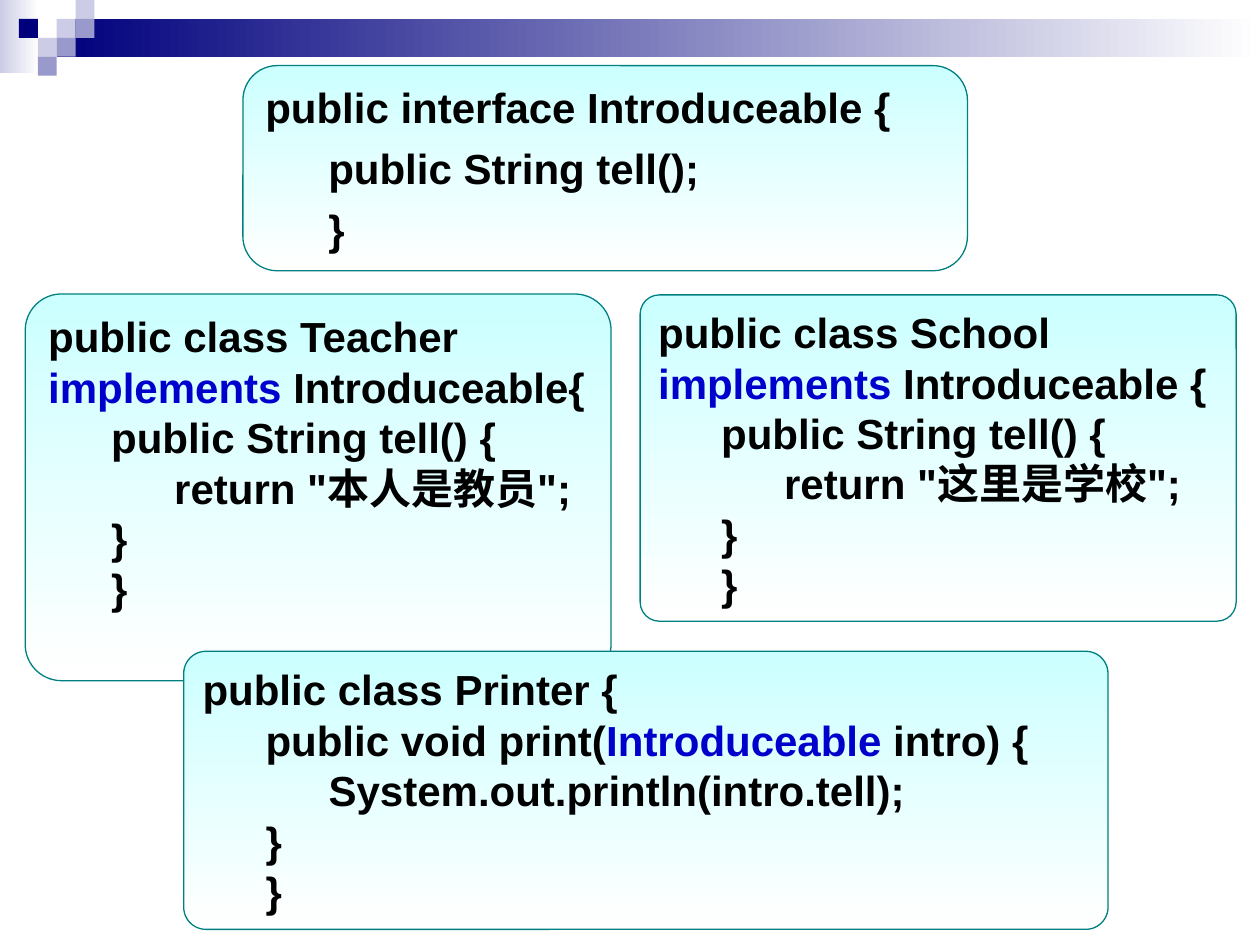
from pptx import Presentation
from pptx.dml.color import RGBColor
from pptx.enum.shapes import MSO_SHAPE
from pptx.enum.text import MSO_ANCHOR, MSO_AUTO_SIZE, PP_ALIGN
from pptx.oxml.ns import qn
from pptx.util import Pt
from lxml.etree import SubElement

COLORS = {
    "navy": "00007D", "lilac": "CCCCE6", "violet": "9999CC", "white": "FFFFFF",
    "aqua": "CCFFFF", "teal": "008080", "code": "000000", "keyword": "0000CC",
}


def rgb(name):
    return RGBColor.from_string(COLORS[name])


def add_block(preset, left, top, width, height, colors, angle=0):
    block = slide.shapes.add_shape(preset, Pt(left), Pt(top), Pt(width), Pt(height))
    block.shadow.inherit = False
    block.line.fill.background()
    if len(colors) == 1:
        block.fill.solid()
        block.fill.fore_color.rgb = rgb(colors[0])
    else:
        block.fill.gradient()
        block.fill.gradient_angle = angle
        for stop, name in zip(block.fill.gradient_stops, colors):
            stop.color.rgb = rgb(name)
    return block


deck = Presentation()
deck.slide_width, deck.slide_height = Pt(720), Pt(540)
slide = deck.slides.add_slide(deck.slide_layouts[6])

add_block(MSO_SHAPE.RECTANGLE, 0, 0, 22.3, 41.8, ["lilac", "white"])
add_block(MSO_SHAPE.RECTANGLE, 32.4, 10.8, 687.6, 21.6, ["navy", "white"])

TILE = 10.8
mosaic = [
    (3, 1, "lilac"), (4, 0, "lilac"), (4, 1, "violet"), (2, 2, "lilac"),
    (1, 1, "navy"), (3, 2, "violet"), (2, 3, "violet"),
]
for column, row, color in mosaic:
    add_block(MSO_SHAPE.RECTANGLE, column * TILE, row * TILE, TILE, TILE, [color])

INDENT = 36
TAB_STOP = 72
listings = [
    ((14.4, 168, 334.8, 221), 0.094, 0, [
        (0, "public class Teacher |implements| Introduceable{"),
        (1, "public String tell() {"),
        (1, "\treturn \"本人是教员\";"),
        (1, "}"),
        (1, "}"),
    ]),
    ((365.8, 168.5, 340.6, 186.5), 0.059, 0, [
        (0, "public class School |implements| Introduceable {"),
        (1, "public String tell() {"),
        (2, "return \"这里是学校\";"),
        (1, "}"),
        (1, "}"),
    ]),
    ((138.8, 37.5, 414, 117.2), 0.167, 6, [
        (0, "public interface Introduceable {"),
        (1, "public String tell();"),
        (1, "}"),
    ]),
    ((105, 372.2, 528.2, 158.9), 0.08, 0, [
        (0, "public class Printer {"),
        (1, "public void print(|Introduceable| intro) {"),
        (2, "System.out.println(intro.tell);"),
        (1, "}"),
        (1, "}"),
    ]),
]

for box, rounding, gap, code_lines in listings:
    panel = add_block(MSO_SHAPE.ROUNDED_RECTANGLE, *box, ["aqua", "white"], 270)
    panel.adjustments[0] = rounding
    panel.line.color.rgb = rgb("teal")
    panel.line.width = Pt(0.75)
    frame = panel.text_frame
    frame.word_wrap = True
    frame.auto_size = MSO_AUTO_SIZE.SHAPE_TO_FIT_TEXT
    frame.vertical_anchor = MSO_ANCHOR.TOP
    frame.text = "\n".join(code.replace("|", "") for _, code in code_lines)
    for paragraph, (level, code) in zip(frame.paragraphs, code_lines):
        paragraph.clear()
        paragraph.alignment = PP_ALIGN.LEFT
        paragraph.level = level
        paragraph.space_before = Pt(gap)
        properties = paragraph._p.get_or_add_pPr()
        properties.set("marL", str(Pt(INDENT * level)))
        properties.set("indent", "0")
        if "\t" in code:
            tabs = SubElement(properties, qn("a:tabLst"))
            SubElement(tabs, qn("a:tab"), pos=str(Pt(TAB_STOP)), algn="l")
        for position, part in enumerate(code.split("|")):
            run = paragraph.add_run()
            run.text = part
            run.font.name = "Arial"
            run.font.size = Pt(24)
            run.font.bold = True
            run.font.color.rgb = rgb("keyword" if position % 2 else "code")

deck.save("out.pptx")
